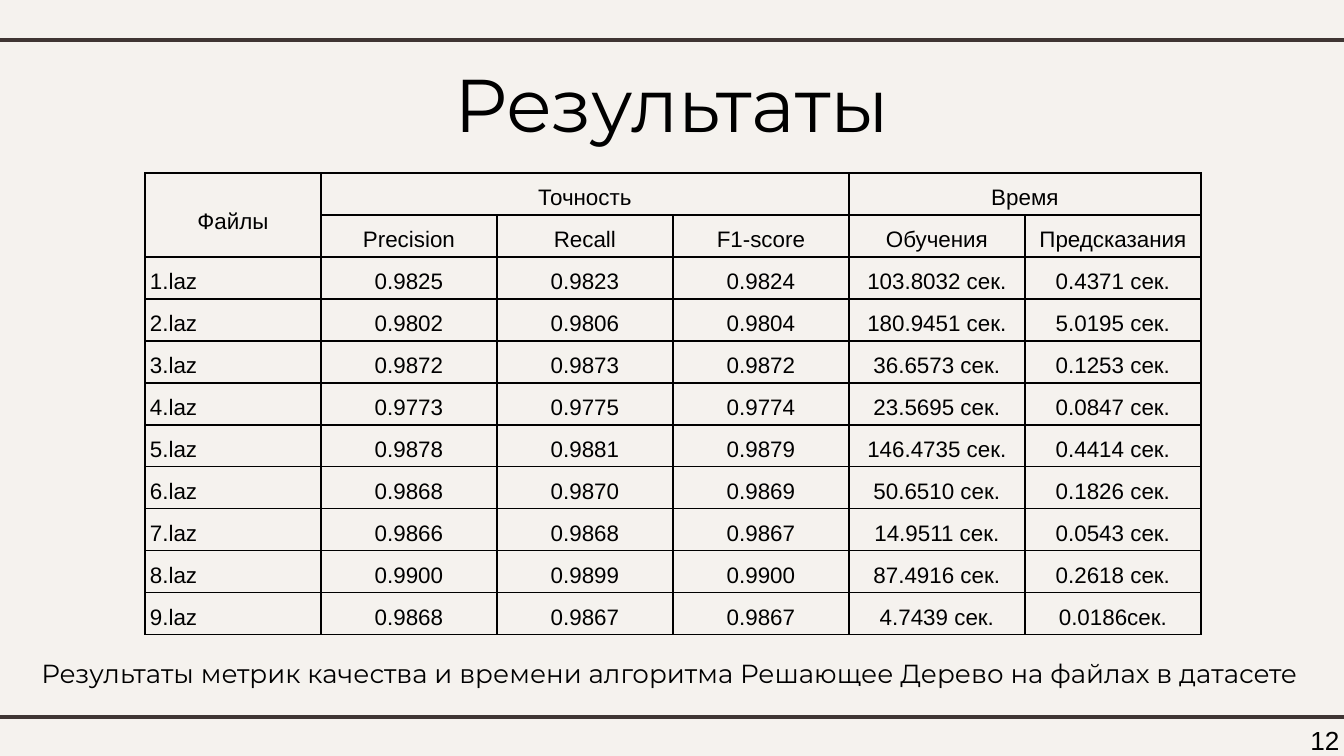
from lxml import etree
from pptx import Presentation
from pptx.dml.color import RGBColor
from pptx.enum.shapes import MSO_CONNECTOR
from pptx.enum.text import MSO_ANCHOR, MSO_AUTO_SIZE, PP_ALIGN
from pptx.oxml.ns import qn
from pptx.util import Pt

SCALE = 914400 / 134.4
PAPER = RGBColor(0xF5, 0xF2, 0xEE)
BROWN = RGBColor(0x3F, 0x35, 0x33)
BLACK = RGBColor(0, 0, 0)
SANS, HEAD = "Arial", "Montserrat"
STRAIGHT = MSO_CONNECTOR.STRAIGHT
CENTER, JUSTIFY = PP_ALIGN.CENTER, PP_ALIGN.JUSTIFY
TOP, MIDDLE = MSO_ANCHOR.TOP, MSO_ANCHOR.MIDDLE
FIXED = MSO_AUTO_SIZE.NONE

COL, ROW = 176, 42
ROWS = [
    ["Файлы", "Точность", "", "", "Время", ""],
    ["", "Precision", "Recall", "F1-score", "Обучения", "Предсказания"],
    ["1.laz", "0.9825", "0.9823", "0.9824", "103.8032 сек.", "0.4371 сек."],
    ["2.laz", "0.9802", "0.9806", "0.9804", "180.9451 сек.", "5.0195 сек."],
    ["3.laz", "0.9872", "0.9873", "0.9872", "36.6573 сек.", "0.1253 сек."],
    ["4.laz", "0.9773", "0.9775", "0.9774", "23.5695 сек.", "0.0847 сек."],
    ["5.laz", "0.9878", "0.9881", "0.9879", "146.4735 сек.", "0.4414 сек."],
    ["6.laz", "0.9868", "0.9870", "0.9869", "50.6510 сек.", "0.1826 сек."],
    ["7.laz", "0.9866", "0.9868", "0.9867", "14.9511 сек.", "0.0543 сек."],
    ["8.laz", "0.9900", "0.9899", "0.9900", "87.4916 сек.", "0.2618 сек."],
    ["9.laz", "0.9868", "0.9867", "0.9867", "4.7439 сек.", "0.0186сек."],
]
SPANS = [((0, 0), (1, 0)), ((0, 1), (0, 3)), ((0, 4), (0, 5))]


def px(n):
    return round(n * SCALE)


def write(frame, text, size, font, align=CENTER):
    frame.text = text
    para = frame.paragraphs[0]
    para.alignment = align
    for run in para.runs:
        run.font.size = Pt(size)
        run.font.name = font
        run.font.color.rgb = BLACK
    return para


def fit(frame, pad):
    """Wrap text from the top, with the same inset on each side."""
    frame.word_wrap = True
    frame.auto_size = FIXED
    frame.vertical_anchor = TOP
    frame.margin_left = frame.margin_right = px(pad)
    frame.margin_top = frame.margin_bottom = px(pad)


def add_title(slide, text):
    title = slide.shapes.title
    title.left, title.top = px(-34), px(45)
    title.width, title.height = px(1412), px(106)
    fit(title.text_frame, 13)
    write(title.text_frame, text, 40, HEAD)


def add_text(slide, box, text, font, pad):
    frame = slide.shapes.add_textbox(*map(px, box)).text_frame
    fit(frame, pad)
    return write(frame, text, 14, font)


def add_rule(slide, y):
    rule = slide.shapes.add_connector(STRAIGHT, px(-11), px(y), px(1355), px(y))
    rule.line.color.rgb = BROWN
    rule.line.width = Pt(2.25)
    etree.SubElement(rule._element.spPr, qn("a:effectLst"))


def add_border(cell):
    props = cell._tc.get_or_add_tcPr()
    for i, side in enumerate(("lnL", "lnR", "lnT", "lnB")):
        line = etree.Element(qn(f"a:{side}"), w=str(Pt(1)))
        fill = etree.SubElement(line, qn("a:solidFill"))
        etree.SubElement(fill, qn("a:srgbClr"), val=str(BLACK))
        props.insert(i, line)


def fill_cell(cell, text, align):
    cell.margin_left = cell.margin_right = px(5)
    cell.margin_top = cell.margin_bottom = 0
    para = write(cell.text_frame, text, 12, SANS, align)
    para.line_spacing = 1.5
    para.space_after = Pt(10)
    cell.fill.background()
    add_border(cell)


def add_grid(slide):
    rows, cols = len(ROWS), len(ROWS[0])
    box = (145, 173, cols * COL, rows * ROW)
    grid = slide.shapes.add_table(rows, cols, *map(px, box)).table
    grid.first_row = grid.horz_banding = False
    for col in grid.columns:
        col.width = px(COL)
    for r, row in enumerate(ROWS):
        grid.rows[r].height = px(ROW)
        for c, text in enumerate(row):
            align = JUSTIFY if c == 0 and r > 1 else CENTER
            fill_cell(grid.cell(r, c), text, align)
    for start, end in SPANS:
        grid.cell(*start).merge(grid.cell(*end))
    grid.cell(0, 0).vertical_anchor = MIDDLE


def main():
    deck = Presentation()
    deck.slide_width, deck.slide_height = px(1344), px(756)
    slide = deck.slides.add_slide(deck.slide_layouts[5])
    slide.background.fill.solid()
    slide.background.fill.fore_color.rgb = PAPER
    for y in (40, 717):
        add_rule(slide, y)
    add_text(slide, (1288, 711, 74, 52), "12", SANS, 13)
    add_title(slide, "Результаты")
    add_grid(slide)
    note = add_text(
        slide, (16, 650, 1308, 46),
        "Результаты метрик качества и времени алгоритма "
        "Решающее Дерево на файлах в датасете", HEAD, 7)
    note.space_after = Pt(10)
    deck.save("out.pptx")


if __name__ == "__main__":
    main()
